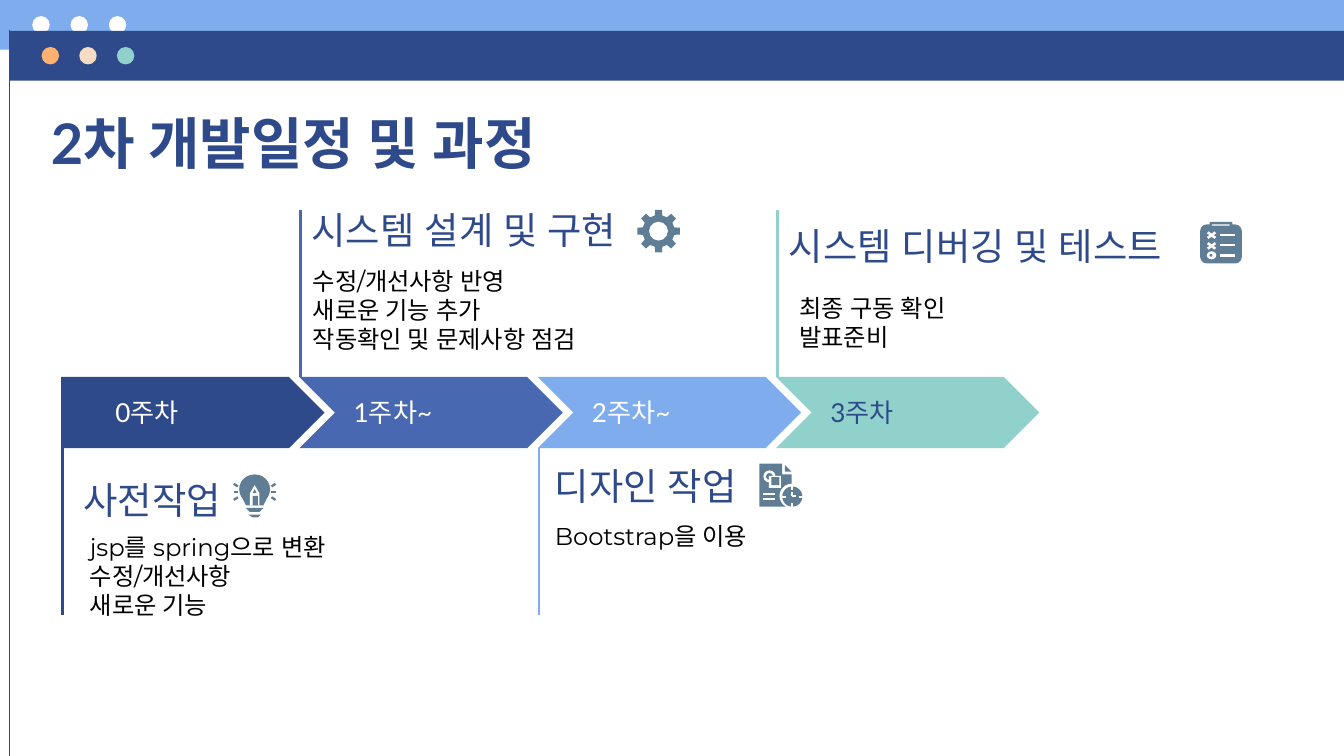
"""Build the second development schedule slide with a four-week timeline."""
from math import cos, pi, sin

from pptx import Presentation
from pptx.dml.color import RGBColor
from pptx.enum.shapes import MSO_CONNECTOR, MSO_SHAPE
from pptx.oxml.ns import qn
from pptx.util import Inches, Pt
from lxml import etree

STRAIGHT = MSO_CONNECTOR.STRAIGHT
OVAL = MSO_SHAPE.OVAL
RECT = MSO_SHAPE.RECTANGLE
ROUNDED = MSO_SHAPE.ROUNDED_RECTANGLE
TRIANGLE = MSO_SHAPE.ISOSCELES_TRIANGLE
CROSS = MSO_SHAPE.MATH_MULTIPLY
PENTAGON = MSO_SHAPE.PENTAGON
CHEVRON = MSO_SHAPE.CHEVRON

WHITE = RGBColor(0xFF, 0xFF, 0xFF)
BLACK = RGBColor(0x00, 0x00, 0x00)
NAVY = RGBColor(0x2F, 0x4A, 0x8A)
BLUE = RGBColor(0x48, 0x69, 0xB1)
SKY = RGBColor(0x7E, 0xAC, 0xEC)
MINT = RGBColor(0x90, 0xD1, 0xCB)
ORANGE = RGBColor(0xFF, 0xB1, 0x72)
PEACH = RGBColor(0xF8, 0xDB, 0xC4)
SLATE = RGBColor(0x5F, 0x7D, 0x95)

WIDTH = Inches(10)
HEIGHT = WIDTH * 9 // 16
COLUMN = WIDTH // 10
BOTTOM = HEIGHT / COLUMN

deck = Presentation()
deck.slide_width, deck.slide_height = WIDTH, HEIGHT
page = deck.slides.add_slide(deck.slide_layouts[6])


def paint(shape, color):
    shape.shadow.inherit = False
    shape.fill.solid()
    shape.fill.fore_color.rgb = color
    shape.line.fill.background()


def write(left, top, width, height, lines, size, font, color, bold=False):
    box = page.shapes.add_textbox(*[round(n * COLUMN) for n in (left, top, width, height)])
    frame = box.text_frame
    frame.word_wrap = True
    frame.margin_left = frame.margin_right = COLUMN // 10
    frame.margin_top = frame.margin_bottom = COLUMN // 10
    for index, line in enumerate(lines):
        para = frame.add_paragraph() if index else frame.paragraphs[0]
        span = para.add_run()
        span.text = line
        span.font.size = Pt(size)
        span.font.name = font
        span.font.bold = bold
        span.font.color.rgb = color
        for script in ("a:ea", "a:cs"):
            etree.SubElement(span.font._element, qn(script)).set("typeface", font)


solids = [(RECT, 0, 0, 10, 0.37, SKY)]
solids += [(OVAL, 0.24 + 0.285 * i, 0.12, 0.13, 0.13, WHITE) for i in range(3)]
solids += [(RECT, 0.07, 0.23, 9.93, 0.37, NAVY)]
solids += [(OVAL, 0.31 + 0.28 * i, 0.35, 0.13, 0.13, color)
           for i, color in enumerate((ORANGE, PEACH, MINT))]
lines = [(0.07, 0.22, 0.07, BOTTOM, NAVY, 0.75)]

START, STEP = 0.455, 1.773
BAND_TOP, BAND_HEIGHT, STEM = 2.805, 0.53, 1.24
weeks = [("0주차", NAVY, WHITE), ("1주차~", BLUE, WHITE),
         ("2주차~", SKY, WHITE), ("3주차", MINT, NAVY)]
for index, (label, color, ink) in enumerate(weeks):
    left = START + STEP * index
    solids.append((CHEVRON if index else PENTAGON, left, BAND_TOP, 1.96, BAND_HEIGHT, color))
    stem_top = BAND_TOP - STEM if index % 2 else BAND_TOP + BAND_HEIGHT
    lines.append((left + 0.01, stem_top, left + 0.01, stem_top + STEM, color, 1.5))

teeth = []
for tooth in range(8):
    for offset, radius in ((-0.3, 0.12), (-0.2, 0.16), (0.2, 0.16), (0.3, 0.12)):
        angle = (tooth + offset) * pi / 4
        teeth.append((4.9 + radius * cos(angle), 1.72 + radius * sin(angle)))
outlines = [
    teeth,
    [(1.79, 3.68), (2, 3.68), (1.96, 3.76), (1.83, 3.76)],
    [(1.83, 3.78), (1.96, 3.78), (1.93, 3.81), (1.86, 3.81)],
    [(1.85, 3.83), (1.94, 3.83), (1.92, 3.85), (1.88, 3.85)],
    [(5.65, 3.45), (5.82, 3.45), (5.82, 3.53), (5.89, 3.53), (5.89, 3.77), (5.65, 3.77)],
    [(5.84, 3.46), (5.89, 3.51), (5.84, 3.51)],
]
for outline in outlines:
    points = [(round(x * COLUMN), round(y * COLUMN)) for x, y in outline]
    builder = page.shapes.build_freeform(*points[0])
    builder.add_line_segments(points[1:], close=True)
    paint(builder.convert_to_shape(), SLATE)

gear = [(OVAL, 4.83, 1.65, 0.14, 0.14, WHITE)]
bulb = [(OVAL, 1.78, 3.53, 0.23, 0.22, SLATE), (TRIANGLE, 1.86, 3.61, 0.07, 0.06, WHITE),
        (RECT, 1.86, 3.67, 0.07, 0.09, WHITE), (RECT, 1.88, 3.69, 0.04, 0.07, SLATE),
        (TRIANGLE, 1.88, 3.64, 0.03, 0.03, SLATE)]
clipboard = [(ROUNDED, 8.93, 1.67, 0.31, 0.29, SLATE), (ROUNDED, 9, 1.65, 0.17, 0.05, SLATE),
             (RECT, 9.02, 1.67, 0.13, 0.01, WHITE), (CROSS, 8.96, 1.71, 0.11, 0.08, WHITE),
             (CROSS, 8.96, 1.79, 0.11, 0.08, WHITE), (OVAL, 8.98, 1.87, 0.07, 0.06, WHITE),
             (OVAL, 9, 1.89, 0.02, 0.02, SLATE)]
document = [(OVAL, 5.68, 3.5, 0.09, 0.09, WHITE), (OVAL, 5.7, 3.52, 0.05, 0.05, SLATE),
            (RECT, 5.72, 3.54, 0.09, 0.09, WHITE), (RECT, 5.74, 3.55, 0.06, 0.06, SLATE),
            (OVAL, 5.8, 3.6, 0.18, 0.18, WHITE), (OVAL, 5.82, 3.62, 0.15, 0.15, SLATE)]
solids += gear + bulb + clipboard + document
for kind, left, top, width, height, color in solids:
    shape = page.shapes.add_shape(kind, *[round(n * COLUMN) for n in (left, top, width, height)])
    paint(shape, color)

for rise in (-1, 0, 1):
    ray = 3.66 + 0.04 * rise
    tip = ray + 0.02 * rise
    row = 1.825 + 0.075 * rise
    lines.append((1.77, ray, 1.74, tip, SLATE, 1.25))
    lines.append((2.02, ray, 2.05, tip, SLATE, 1.25))
    lines.append((9.08, row, 9.19, row, WHITE, 1.25))
for top in (3.675, 3.71):
    lines.append((5.68, top, 5.77, top, WHITE, 1))
for dx, dy in ((1, 0), (-1, 0), (0, 1), (0, -1)):
    lines.append((5.895 + 0.05 * dx, 3.695 + 0.05 * dy,
                  5.895 + 0.08 * dx, 3.695 + 0.08 * dy, WHITE, 1))
lines.append((5.89, 3.66, 5.89, 3.69, WHITE, 1))
lines.append((5.89, 3.69, 5.92, 3.69, WHITE, 1))
for *ends, color, weight in lines:
    line = page.shapes.add_connector(STRAIGHT, *[round(n * COLUMN) for n in ends])
    line.line.color.rgb = color
    line.line.width = Pt(weight)
    etree.SubElement(line._element.spPr, qn("a:effectLst"))

write(0.28, 0.71, 8.44, 0.51, ["2차 개발일정 및 과정"], 30, "Lato", NAVY, True)
for index, (label, color, ink) in enumerate(weeks):
    write(START + STEP * index + 0.305, 2.85, 1.65, 0.29, [label], 14, "Lato", ink)

headings = [(0.52, 3.45, 1.89, "사전작업"), (2.22, 1.44, 3.34, "시스템 설계 및 구현"),
            (4.03, 3.35, 1.89, "디자인 작업"), (5.77, 1.56, 3.58, "시스템 디버깅 및 테스트")]
for left, top, width, heading in headings:
    write(left, top, width, 0.4, [heading], 20, "Lato", NAVY)

details = [
    (0.57, 3.86, 2.29, 0.79, ["jsp를 spring으로 변환", "수정/개선사항", "새로운 기능"]),
    (2.23, 1.88, 2.43, 0.9, ["수정/개선사항 반영", "새로운 기능 추가", "작동확인 및 문제사항 점검"]),
    (4.03, 3.78, 2.08, 0.46, ["Bootstrap을 이용"]),
    (5.85, 2.08, 2.29, 0.62, ["최종 구동 확인", "발표준비"]),
]
for *place, texts in details:
    write(*place, texts, 13, "Montserrat", BLACK)

deck.save("out.pptx")
